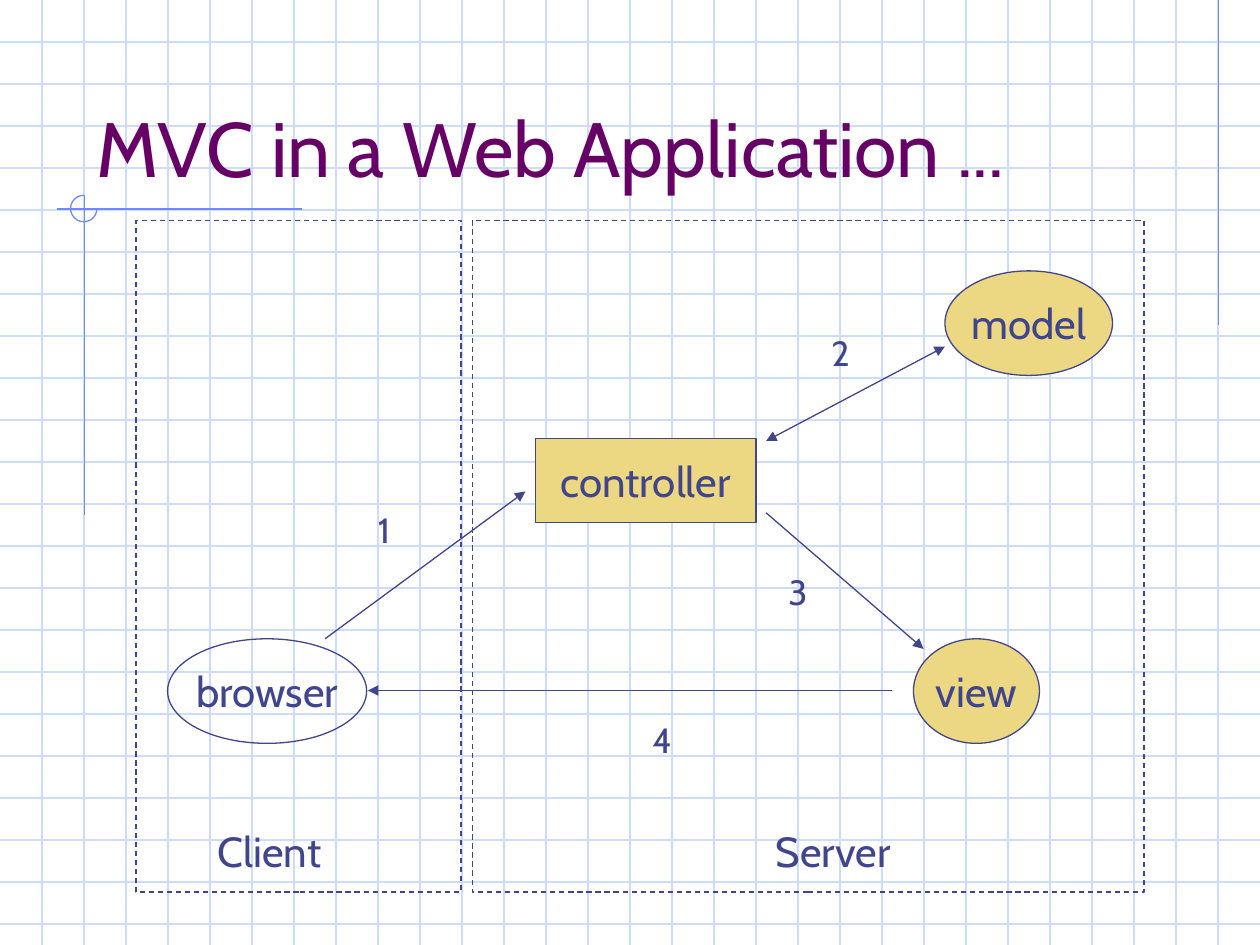
from lxml import etree
from pptx import Presentation
from pptx import util as u
from pptx.dml.color import RGBColor
from pptx.enum import dml, shapes, text
from pptx.oxml import ns

COLORS = {"grid": "CFDBFD", "accent": "6F89F7", "title": "660066",
          "ink": "40458C", "gold": "ECD882"}
FONT = "Cabin"

prs = Presentation()
prs.slide_width, prs.slide_height = u.Inches(10), u.Inches(7.5)
s = prs.slides.add_slide(prs.slide_layouts[6])


def add_line(x1, y1, x2, y2, color, ends=()):
    c = s.shapes.add_connector(shapes.MSO_CONNECTOR.STRAIGHT, *map(u.Inches, (x1, y1, x2, y2)))
    c.line.color.rgb = RGBColor.from_string(COLORS[color])
    c.line.width = u.Pt(0.75)
    ln = c.line._get_or_add_ln()
    for end in ends:
        etree.SubElement(ln, ns.qn(f"a:{end}"), type="triangle")
    etree.SubElement(c._element.spPr, ns.qn("a:effectLst"))


def write(sp, words, size, color="ink", align=text.PP_ALIGN.LEFT,
          anchor=text.MSO_ANCHOR.TOP, wrap=False):
    tf = sp.text_frame
    tf.word_wrap = wrap
    tf.vertical_anchor = anchor
    p = tf.paragraphs[0]
    p.text = words
    p.alignment = align
    p.font.size = u.Pt(size)
    p.font.name = FONT
    p.font.color.rgb = RGBColor.from_string(COLORS[color])


# Background grid, three squares to the inch
for i in range(1, 23):
    add_line(0, i / 3, 10, i / 3, "grid")
for i in range(1, 30):
    add_line(i / 3, 0, i / 3, 7.5, "grid")

# Accent lines and the three-quarter ring at their crossing
for ends in [(9.67, 0, 9.67, 2.58), (2.4, 1.66, 0.45, 1.66), (0.67, 1.55, 0.67, 4.09)]:
    add_line(*ends, "accent")
sp = s.shapes.add_shape(shapes.MSO_SHAPE.ARC, *map(u.Inches, (0.56, 1.55, 0.21, 0.21)))
sp.adjustments[0], sp.adjustments[1] = 0, 162
sp.shadow.inherit = False
sp.fill.background()
sp.line.color.rgb = RGBColor.from_string(COLORS["accent"])
sp.line.width = u.Pt(0.75)

# Title
sp = s.shapes.add_textbox(*map(u.Inches, (0.67, 0.33, 8.5, 1.25)))
write(sp, "MVC in a Web Application ...", 44, "title", anchor=text.MSO_ANCHOR.BOTTOM, wrap=True)

# Components, then the dashed client and server frames
RECT, OVAL = shapes.MSO_SHAPE.RECTANGLE, shapes.MSO_SHAPE.OVAL
for kind, box, fill, label in [
    (RECT, (4.25, 3.48, 1.75, 0.67), "gold", "controller"),
    (OVAL, (1.33, 5.07, 1.58, 0.83), None, "browser"),
    (OVAL, (7.5, 2.15, 1.33, 0.83), "gold", "model"),
    (OVAL, (7.25, 5.07, 1, 0.83), "gold", "view"),
    (RECT, (1.08, 1.75, 2.58, 5.33), None, None),
    (RECT, (3.75, 1.75, 5.33, 5.33), None, None),
]:
    sp = s.shapes.add_shape(kind, *map(u.Inches, box))
    sp.shadow.inherit = False
    if fill:
        sp.fill.solid()
        sp.fill.fore_color.rgb = RGBColor.from_string(COLORS[fill])
    else:
        sp.fill.background()
    sp.line.color.rgb = RGBColor.from_string(COLORS["ink"])
    sp.line.width = u.Pt(0.75)
    if label:
        write(sp, label, 24, align=text.PP_ALIGN.CENTER, anchor=text.MSO_ANCHOR.MIDDLE)
    else:
        sp.line.dash_style = dml.MSO_LINE.DASH

# Arrows between components
for ends, heads in [
    ((2.58, 5.07, 4.17, 3.9), ["tailEnd"]),
    ((6.08, 3.5, 7.5, 2.75), ["headEnd", "tailEnd"]),
    ((6.08, 4.07, 7.33, 5.15), ["tailEnd"]),
    ((7.08, 5.48, 2.92, 5.48), ["tailEnd"]),
]:
    add_line(*ends, "ink", heads)

# Step numbers and frame captions
for words, size, box in [
    ("1", 20, (2.9, 3.99, 0.36, 0.44)),
    ("2", 20, (6.5, 2.58, 0.36, 0.44)),
    ("3", 20, (6.16, 4.48, 0.36, 0.44)),
    ("4", 20, (5.08, 5.65, 0.36, 0.44)),
    ("Client", 24, (1.63, 6.5, 1.09, 0.5)),
    ("Server", 24, (6.06, 6.5, 1.2, 0.5)),
]:
    write(s.shapes.add_textbox(*map(u.Inches, box)), words, size)

prs.save("out.pptx")
